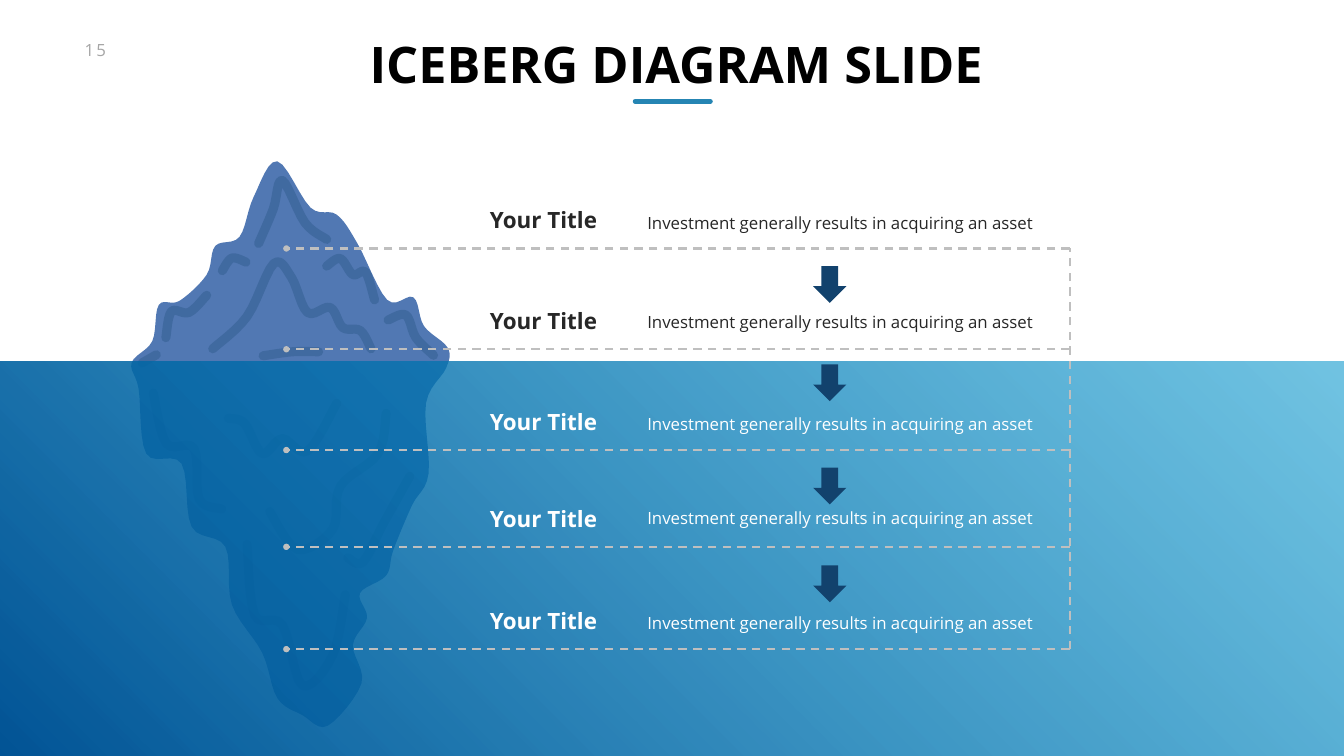
import pptx
import pptx.util
from pptx.dml.color import RGBColor
from pptx.enum.dml import MSO_LINE
from pptx.enum.shapes import MSO_CONNECTOR, MSO_SHAPE
from pptx.enum.text import MSO_ANCHOR, MSO_AUTO_SIZE, PP_ALIGN
from pptx.oxml.ns import qn
from lxml import etree

Inches, Pt = pptx.util.Inches, pptx.util.Pt

WIDTH, HEIGHT = 26.66, 15
FONT = "Open Sans"
BLACK = RGBColor.from_string("000000")
WHITE = RGBColor.from_string("FFFFFF")
INK = RGBColor.from_string("272727")
PAGE_GREY = RGBColor.from_string("A6A6A6")
LINE_GREY = RGBColor.from_string("BFBFBF")
ACCENT = RGBColor.from_string("2585B3")
ICE = RGBColor.from_string("5178B3")
NAVY = RGBColor.from_string("12426D")
SEA_DEEP = RGBColor.from_string("005496")
SEA_LIGHT = RGBColor.from_string("0D99CE")

TITLE = "ICEBERG DIAGRAM SLIDE"
PAGE_NUMBER = "15"
HEADING = "Your Title"
BODY = "Investment generally results in acquiring an asset"

# Level line, top of body text, top of the arrow below (None for the last), text colour
LEVELS = [
    (4.93, 4.01, 5.28, INK),
    (6.93, 5.98, 7.23, INK),
    (8.93, 8.00, 9.28, WHITE),
    (10.85, 9.87, 11.22, WHITE),
    (12.88, 11.96, None, WHITE),
]
LINE_LEFT, LINE_RIGHT = 5.68, 21.22
HEADING_LEFT, HEADING_RISE = 9.62, 0.89
BODY_LEFT = 12.6
ARROW_LEFT = 16.13
SEA_TOP = 7.18

# Points in inches on the closed outline, clockwise from the waterline
ICEBERG = [
    (8.88, 6.9), (8.41, 6.47), (8.2, 5.9), (7.68, 5.95), (7.09, 4.83), (6.68, 4.26),
    (6.16, 4.12), (5.5, 3.2), (5.03, 3.91), (4.75, 4.7), (4.27, 4.88), (4.1, 5.45),
    (3.56, 5.97), (3.15, 6.05), (3.02, 6.77), (2.61, 7.2), (2.75, 7.72), (2.9, 9),
    (3.6, 9.2), (3.8, 10.45), (4.47, 10.85), (4.6, 12), (5.2, 12.95), (5.5, 13.85),
    (6, 14.19), (6.5, 14.4), (7.17, 13.56), (7, 12.8), (7.28, 12.26), (7.14, 11.77),
    (7.66, 11.42), (7.8, 10.92), (8.17, 10.03), (8.5, 9.4), (8.45, 8), (8.85, 7.3),
]
# Centre lines of the crevices
CREVICE_WEIGHT = 13
CREVICES = [
    [(2.82, 7.2), (3.1, 7.04)],
    [(3.29, 6.7), (3.4, 6.18), (3.75, 6.2), (4.1, 5.86)],
    [(4.22, 6.92), (4.9, 6.28), (5.43, 5.23), (5.78, 5.5), (6.1, 6.2),
     (6.55, 6.1), (6.8, 6.5), (7.15, 6.56), (7.36, 6.92)],
    [(4.41, 5.37), (4.6, 5.12), (4.88, 5.2)],
    [(5.13, 4.83), (5.42, 4.15), (5.6, 3.58), (6.05, 4.42), (6.48, 4.75)],
    [(6.48, 5.28), (6.75, 5.13), (7, 5.45), (7.25, 5.4), (7.43, 5.95)],
    [(7.7, 6.35), (8.05, 6.25), (8.25, 6.7), (8.6, 7.05)],
    [(5.22, 7.06), (5.8, 6.98), (6.32, 6.98)],
    [(3.04, 7.8), (3.3, 8.8), (3.85, 8.9), (3.95, 9.9), (4.4, 10.1)],
    [(4.9, 10.8), (5.05, 12.2), (5.6, 12.4), (6, 13.6), (6.6, 13), (6.85, 11.8)],
    [(7.66, 8.2), (7.5, 9), (6.75, 9.65), (6.6, 10.5), (5.9, 10.9), (5.35, 10.15)],
    [(4.53, 8.3), (4.85, 8.4), (5.2, 9), (5.6, 8.7), (6.1, 8.95), (6.68, 8)],
    [(8.13, 9.45), (7.6, 10.4), (7.2, 11.15), (6.9, 11.07)],
]


def smooth(points, closed, steps=6):
    """Sample a Catmull-Rom curve through the points."""
    ends = (points[-1:], points[:2]) if closed else (points[:1], points[-1:])
    knots = ends[0] + points + ends[1]
    for a, b, c, d in zip(knots, knots[1:], knots[2:], knots[3:]):
        for t in (step / steps for step in range(steps)):
            yield tuple(
                Inches(q + ((r - p) * t + (2 * p - 5 * q + 4 * r - s) * t**2
                            + (3 * q - p - 3 * r + s) * t**3) / 2)
                for p, q, r, s in zip(a, b, c, d))
    if not closed:
        yield tuple(map(Inches, points[-1]))


def set_opacity(shape, percent):
    """Make the last RGB colour of the shape's fill or line see-through."""
    colour = list(shape._element.spPr.iter(qn("a:srgbClr")))[-1]
    etree.SubElement(colour, qn("a:alpha")).set("val", str(percent * 1000))


def finish(shape, colour):
    shape.fill.solid()
    shape.fill.fore_color.rgb = colour
    shape.line.fill.background()
    shape.shadow.inherit = False


def add_curve(page, points, closed):
    start, *rest = smooth(points, closed)
    builder = page.shapes.build_freeform(*start, scale=1)
    builder.add_line_segments(rest, close=closed)
    return builder.convert_to_shape()


def add_crevice(page, points):
    crevice = add_curve(page, points, closed=False)
    crevice.fill.background()
    crevice.shadow.inherit = False
    crevice.line.color.rgb = NAVY
    crevice.line.width = Pt(CREVICE_WEIGHT)
    outline = crevice.line._get_or_add_ln()
    outline.set("cap", "rnd")
    etree.SubElement(outline, qn("a:round"))
    set_opacity(crevice, 25)


def add_line(page, x1, y1, x2, y2, colour, weight, dashed=True, dot=False):
    line = page.shapes.add_connector(MSO_CONNECTOR.STRAIGHT, *map(Inches, (x1, y1, x2, y2)))
    line.line.color.rgb = colour
    line.line.width = Pt(weight)
    if dashed:
        line.line.dash_style = MSO_LINE.DASH
    else:
        line.line._get_or_add_ln().set("cap", "rnd")
    if dot:
        etree.SubElement(line.line._get_or_add_ln(), qn("a:tailEnd")).set("type", "oval")
    etree.SubElement(line._element.spPr, qn("a:effectLst"))


def fill_text(box, text, size, colour, bold=False, wrap=False,
              anchor=MSO_ANCHOR.TOP, insets=(0.1, 0.05, 0.1, 0.05)):
    frame = box.text_frame
    frame.text = text
    frame.word_wrap = wrap
    frame.auto_size = MSO_AUTO_SIZE.SHAPE_TO_FIT_TEXT
    frame.vertical_anchor = anchor
    (frame.margin_left, frame.margin_top,
     frame.margin_right, frame.margin_bottom) = map(Inches, insets)
    para = frame.paragraphs[0]
    para.font.name, para.font.size, para.font.bold = FONT, Pt(size), bold
    para.font.color.rgb = colour
    return para


def add_text(page, place, *args, **options):
    return fill_text(page.shapes.add_textbox(*map(Inches, place)), *args, **options)


deck = pptx.Presentation()
deck.slide_width, deck.slide_height = Inches(WIDTH), Inches(HEIGHT)
page = deck.slides.add_slide(deck.slide_layouts[5])

title = page.shapes.title
title.left, title.top, title.width, title.height = map(Inches, (7.17, 0.65, 12.39, 1.21))
fill_text(title, TITLE, 72, BLACK, bold=True, insets=(0.1, 0, 0, 0)).alignment = PP_ALIGN.CENTER
add_line(page, 12.6, 2.01, 14.09, 2.01, ACCENT, 7, dashed=False)
number = add_text(page, (1.58, 0.74, 0.75, 0.5), PAGE_NUMBER, 24, PAGE_GREY)
number.runs[0].font._element.set("spc", "300")

finish(add_curve(page, ICEBERG, closed=True), ICE)
for centre_line in CREVICES:
    add_crevice(page, centre_line)

sea = page.shapes.add_shape(MSO_SHAPE.RECTANGLE, 0, Inches(SEA_TOP),
                            Inches(WIDTH), Inches(HEIGHT - SEA_TOP))
finish(sea, SEA_DEEP)
sea.fill.gradient()
sea.fill.gradient_angle = 45
for stop, colour in zip(sea.fill.gradient_stops, (SEA_DEEP, SEA_LIGHT)):
    stop.color.rgb = colour
set_opacity(sea, 59)

for line_y, body_top, arrow_top, colour in LEVELS:
    add_line(page, LINE_RIGHT, line_y, LINE_LEFT, line_y, LINE_GREY, 3, dot=True)
    if arrow_top:
        arrow = page.shapes.add_shape(
            MSO_SHAPE.DOWN_ARROW, *map(Inches, (ARROW_LEFT, arrow_top, 0.66, 0.73)))
        finish(arrow, NAVY)
    add_text(page, (HEADING_LEFT, line_y - HEADING_RISE, 2.35, 0.64), HEADING, 32, colour,
             bold=True, anchor=MSO_ANCHOR.MIDDLE)
    body = add_text(page, (BODY_LEFT, body_top, 8.38, 0.7), BODY, 24, colour,
                    wrap=True, insets=(0.24, 0.12, 0.24, 0.12))
    body.line_spacing = Pt(35)
add_line(page, LINE_RIGHT, LEVELS[-1][0], LINE_RIGHT, LEVELS[0][0], LINE_GREY, 3)

deck.save("out.pptx")
